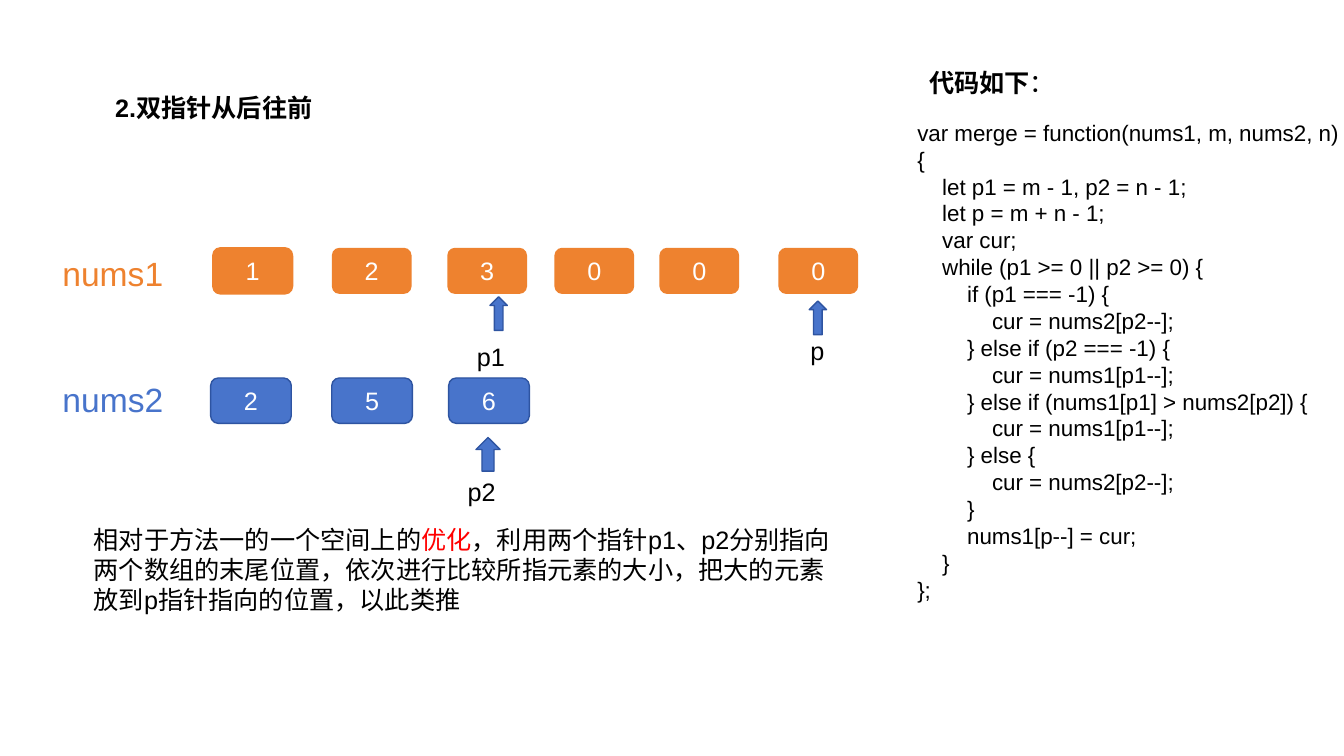
import dataclasses

import lxml.etree
import pptx
import pptx.dml.color
import pptx.enum.shapes
import pptx.enum.text
import pptx.oxml.ns
import pptx.util

Pt = pptx.util.Pt
Align = pptx.enum.text.PP_ALIGN
Anchor = pptx.enum.text.MSO_ANCHOR
ShapeType = pptx.enum.shapes.MSO_SHAPE


@dataclasses.dataclass(frozen=True)
class Theme:
    font: str = "Arial"
    text: str = "000000"
    inverse: str = "FFFFFF"
    accent: str = "FF0000"
    orange: str = "EE822F"
    blue: str = "4874CB"
    blue_line: str = "2E54A1"
    body_size: float = 18
    array_size: float = 24
    code_size: float = 16
    code_leading: float = 19.2
    code_indent: float = 17.8


def set_values(target, values):
    for name, value in values.items():
        setattr(target, name, value)


class SlideBuilder:
    def __init__(self, presentation, theme):
        self.theme = theme
        self.slide = presentation.slides.add_slide(presentation.slide_layouts[1])

    def color(self, value):
        return pptx.dml.color.RGBColor.from_string(value)

    def place(self, shape, box):
        set_values(shape, dict(zip(("left", "top", "width", "height"), map(Pt, box))))

    def frame(self, shape, anchor=Anchor.TOP):
        frame = shape.text_frame
        set_values(frame, {"word_wrap": True, "vertical_anchor": anchor,
                           "auto_size": pptx.enum.text.MSO_AUTO_SIZE.NONE})
        return frame

    def add_runs(self, paragraph, runs, size, align=Align.LEFT):
        """Fill a paragraph from (text, colour, bold) runs."""
        paragraph.alignment = align
        for text, color, bold in runs:
            run = paragraph.add_run()
            run.text = text
            set_values(run.font, {"name": self.theme.font, "size": Pt(size), "bold": bold})
            run.font.color.rgb = self.color(color)

    def title(self, text, box):
        shape = self.slide.shapes.title
        self.place(shape, box)
        paragraph = self.frame(shape).paragraphs[0]
        self.add_runs(paragraph, [(text, self.theme.text, True)], self.theme.body_size)

    def code(self, lines, box):
        """Put (indent level, text) lines in the body placeholder."""
        shape = self.slide.placeholders[1]
        self.place(shape, box)
        frame = self.frame(shape)
        for number, (level, text) in enumerate(lines):
            paragraph = frame.add_paragraph() if number else frame.paragraphs[0]
            self.add_runs(paragraph, [(text, self.theme.text, False)], self.theme.code_size)
            set_values(paragraph, {"space_before": Pt(0), "space_after": Pt(0),
                                   "line_spacing": Pt(self.theme.code_leading)})
            properties = paragraph._p.get_or_add_pPr()
            properties.set("marL", str(Pt(level * self.theme.code_indent)))
            properties.set("indent", "0")
            lxml.etree.SubElement(properties, pptx.oxml.ns.qn("a:buNone"))

    def text(self, runs, box, size=None):
        shape = self.slide.shapes.add_textbox(*map(Pt, box))
        self.add_runs(self.frame(shape).paragraphs[0], runs, size or self.theme.body_size)

    def shape(self, kind, box, fill, line=None):
        shape = self.slide.shapes.add_shape(kind, *map(Pt, box))
        shape.shadow.inherit = False
        shape.fill.solid()
        shape.fill.fore_color.rgb = self.color(fill)
        if line:
            shape.line.color.rgb = self.color(line)
            shape.line.width = Pt(1)
        else:
            shape.line.fill.background()
        return shape

    def cell(self, value, box, fill, line):
        shape = self.shape(ShapeType.ROUNDED_RECTANGLE, box, fill, line)
        paragraph = self.frame(shape, Anchor.MIDDLE).paragraphs[0]
        self.add_runs(paragraph, [(value, self.theme.inverse, False)],
                      self.theme.body_size, Align.CENTER)

    def array(self, name, label_box, cells, top, size, fill):
        """Draw an array name and its (left, value, outline) cells."""
        self.text([(name, fill, False)], label_box, self.theme.array_size)
        for left, value, line in cells:
            self.cell(value, (left, top, *size), fill, line)

    def pointer(self, name, arrow_box, label_box):
        self.shape(ShapeType.UP_ARROW, arrow_box, self.theme.blue, self.theme.blue_line)
        self.text([(name, self.theme.text, False)], label_box)


CODE = [
    (0, "var merge = function(nums1, m, nums2, n) {"),
    (1, "let p1 = m - 1, p2 = n - 1;"),
    (1, "let p = m + n - 1;"),
    (1, "var cur;"),
    (1, "while (p1 >= 0 || p2 >= 0) {"),
    (2, "if (p1 === -1) {"),
    (3, "cur = nums2[p2--];"),
    (2, "} else if (p2 === -1) {"),
    (3, "cur = nums1[p1--];"),
    (2, "} else if (nums1[p1] > nums2[p2]) {"),
    (3, "cur = nums1[p1--];"),
    (2, "} else {"),
    (3, "cur = nums2[p2--];"),
    (2, "}"),
    (2, "nums1[p--] = cur;"),
    (1, "}"),
    (0, "};"),
]


def main():
    theme = Theme()
    presentation = pptx.Presentation()
    set_values(presentation, {"slide_width": Pt(960), "slide_height": Pt(540)})
    builder = SlideBuilder(presentation, theme)

    builder.title("2.双指针从后往前", (75, 62, 162, 31))

    nums1 = [(152, "1", theme.orange), (237, "2", None), (319.5, "3", None),
             (396, "0", None), (471, "0", None), (556, "0", None)]
    nums2 = [(left, value, theme.blue_line)
             for left, value in ((150.5, "2"), (237, "5"), (320.5, "6"))]
    builder.array("nums1", (37.5, 177, 103, 37), nums1, 177, (57, 33), theme.orange)
    builder.array("nums2", (37.5, 267, 101, 35), nums2, 270, (57.6, 32.4), theme.blue)

    builder.pointer("p1", (350, 212, 12.4, 24), (333.5, 240.5, 45, 20))
    builder.pointer("p2", (340, 312.5, 17.2, 24), (327, 337, 45, 20))
    builder.pointer("p", (578, 215, 12.4, 24), (571.7, 236.2, 32, 20))

    builder.text([("代码如下", theme.text, True), ("：", theme.text, False)],
                 (656.6, 44.6, 200, 29))
    builder.code(CODE, (648, 81.4, 322.5, 427.7))
    builder.text([
        ("相对于方法一的一个空间上的", theme.text, False),
        ("优化", theme.accent, False),
        ("，利用两个指针p1、p2分别指向两个数组的末尾位置，依次进行比较所指元素的大小，"
         "把大的元素放到p指针指向的位置，以此类推", theme.text, False),
    ], (59.8, 370.8, 553, 72.7))

    presentation.save("out.pptx")


if __name__ == "__main__":
    main()
